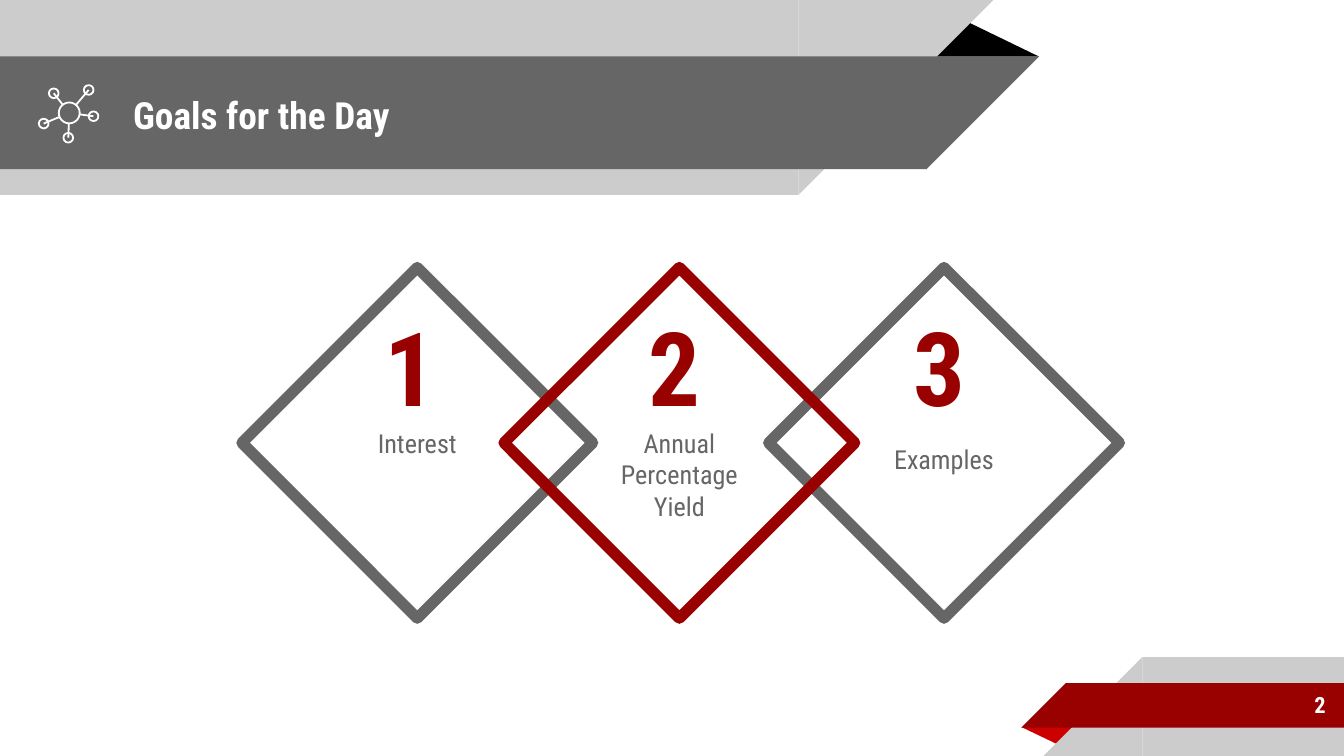
from math import hypot
from lxml.etree import SubElement
from pptx import Presentation
from pptx.dml.color import RGBColor
from pptx.enum.shapes import MSO_CONNECTOR, MSO_SHAPE
from pptx.enum.text import MSO_ANCHOR, PP_ALIGN
from pptx.oxml.ns import qn
from pptx.util import Pt

COLORS = {"white": "FFFFFF", "black": "000000", "light": "CCCCCC",
          "gray": "666666", "red": "990000", "bright": "CC0000"}
FONT = "Roboto Condensed"
TITLE, PAGE_NUMBER = "Goals for the Day", "2"
# left, number, label, blank lines above, outline, fill
GOALS = [
    {"number": "1", "label": "Interest", "left": 129.6, "drop": 0, "line": "gray", "fill": "white"},
    {"number": "3", "label": "Examples", "left": 411.8, "drop": 17, "line": "gray", "fill": "white"},
    {"number": "2", "label": "Annual Percentage Yield", "left": 270, "drop": 34, "line": "red", "fill": None},
]
FOLDS = [((495.4, 10.1, 61.2, 20.2), "black", 0), ((547.2, 389.5, 31, 10.1), "bright", 180)]
HEADER_BANDS = [(0, 0, 427.7, 104.4, "light"), (0, 30.2, 496.2, 60.5, "gray")]
FOOTER_BANDS = [(612, 352.1, 108, 52.9, "light"), (571, 366, 149, 23.8, "red")]
HUB, HUB_SIZE, NODE_SIZE = (37.1, 60.5), 11.2, 5.2
NODES = [(47.5, 48.2), (28.8, 50), (23.4, 66.2), (36.6, 73.8), (50.1, 62.3)]


def color(name):
    return RGBColor.from_string(COLORS[name])


def apply(target, values):
    for name, value in values.items():
        setattr(target, name, value)


def add_shape(page, kind, box, fill=None, line=None, weight=1, rotation=0, flip=False):
    shape = page.shapes.add_shape(kind, *map(Pt, box))
    apply(shape, {"rotation": rotation})
    shape.shadow.inherit = False
    if fill:
        shape.fill.solid()
        shape.fill.fore_color.rgb = color(fill)
    else:
        shape.fill.background()
    if line:
        shape.line.color.rgb = color(line)
        shape.line.width = Pt(weight)
    else:
        shape.line.fill.background()
    if flip:
        shape.element.spPr.get_or_add_xfrm().set("flipH", "1")
    return shape


def write(shape, text, size, ink, bold=False, align=PP_ALIGN.LEFT,
          anchor=MSO_ANCHOR.MIDDLE, top=7.2, bottom=7.2):
    frame = shape.text_frame
    apply(frame, {"word_wrap": True, "vertical_anchor": anchor,
                  "margin_left": Pt(7.2), "margin_right": Pt(7.2),
                  "margin_top": Pt(top), "margin_bottom": Pt(bottom)})
    para = frame.paragraphs[0]
    para.alignment = align
    span = para.add_run()
    span.text = text
    apply(span.font, {"name": FONT, "size": Pt(size), "bold": bold})
    span.font.color.rgb = color(ink)


def add_band(page, left, top, width, height, fill, slant_left, rotation):
    add_shape(page, MSO_SHAPE.RECTANGLE, (left, top, width, height), fill)
    corner = left - height if slant_left else left + width
    add_shape(page, MSO_SHAPE.RIGHT_TRIANGLE, (corner, top, height, height), fill,
              rotation=rotation, flip=True)


def add_circle(page, center, size):
    box = (center[0] - size / 2, center[1] - size / 2, size, size)
    add_shape(page, MSO_SHAPE.OVAL, box, line="white", weight=0.96)


def add_spoke(page, node):
    across, down = node[0] - HUB[0], node[1] - HUB[1]
    share = HUB_SIZE / 2 / hypot(across, down)
    ends = (*node, HUB[0] + across * share, HUB[1] + down * share)
    spoke = page.shapes.add_connector(MSO_CONNECTOR.STRAIGHT, *map(Pt, ends))
    spoke.line.color.rgb = color("white")
    spoke.line.width = Pt(0.96)
    SubElement(spoke.element.spPr, qn("a:effectLst"))


def main():
    """Build the goals slide with its banner, icon and three linked diamonds."""
    deck = Presentation()
    apply(deck, {"slide_width": Pt(720), "slide_height": Pt(405)})
    page = deck.slides.add_slide(deck.slide_layouts[5])

    bands = ((HEADER_BANDS, False, 180), (FOOTER_BANDS, True, 0))
    for (box, fill, rotation), (group, slant_left, turn) in zip(FOLDS, bands):
        fold = add_shape(page, MSO_SHAPE.ISOSCELES_TRIANGLE, box, fill, rotation=rotation)
        fold.adjustments[0] = 0.32
        for band in group:
            add_band(page, *band, slant_left, turn)

    title = page.shapes.title
    apply(title, {"left": Pt(64.1), "top": Pt(31), "width": Pt(414), "height": Pt(60.5)})
    write(title, TITLE, 20, "white", bold=True)
    page.shapes._spTree.append(title.element)
    number = page.shapes.add_textbox(Pt(599.8), Pt(365), Pt(117.4), Pt(25.2))
    write(number, PAGE_NUMBER, 12, "white", bold=True, align=PP_ALIGN.RIGHT)

    for goal in GOALS:
        diamond = add_shape(page, MSO_SHAPE.DIAMOND, (goal["left"], 143.3, 187.9, 187.9),
                            goal["fill"], goal["line"], 6)
        write(diamond, goal["label"], 14, "gray", align=PP_ALIGN.CENTER,
              top=goal["drop"], bottom=0)

    for node in NODES:
        add_circle(page, node, NODE_SIZE)
        add_spoke(page, node)
    add_circle(page, HUB, HUB_SIZE)

    for goal in GOALS:
        left = 198.7 + 141.8 * (int(goal["number"]) - 1)
        box = page.shapes.add_textbox(Pt(left), Pt(157), Pt(38.9), Pt(79.2))
        write(box, goal["number"], 55, "red", bold=True, anchor=MSO_ANCHOR.BOTTOM)

    deck.save("out.pptx")


if __name__ == "__main__":
    main()
